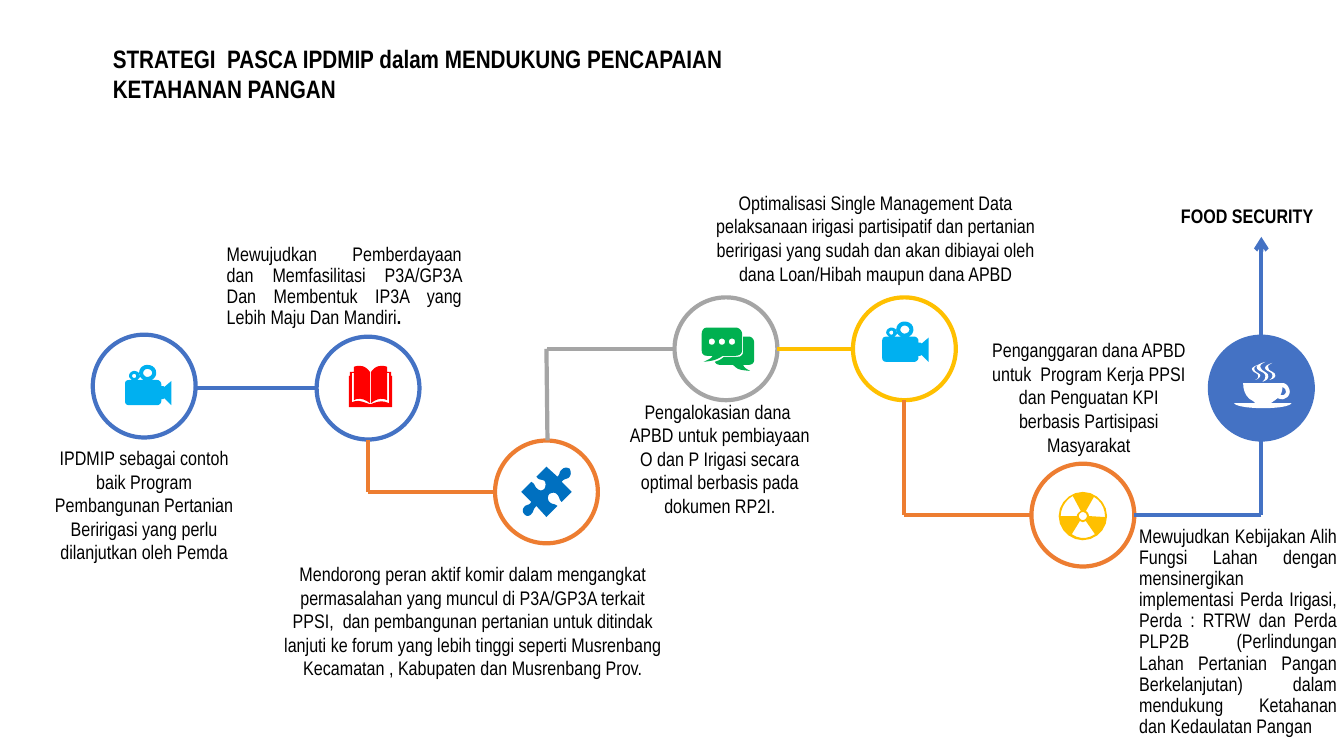
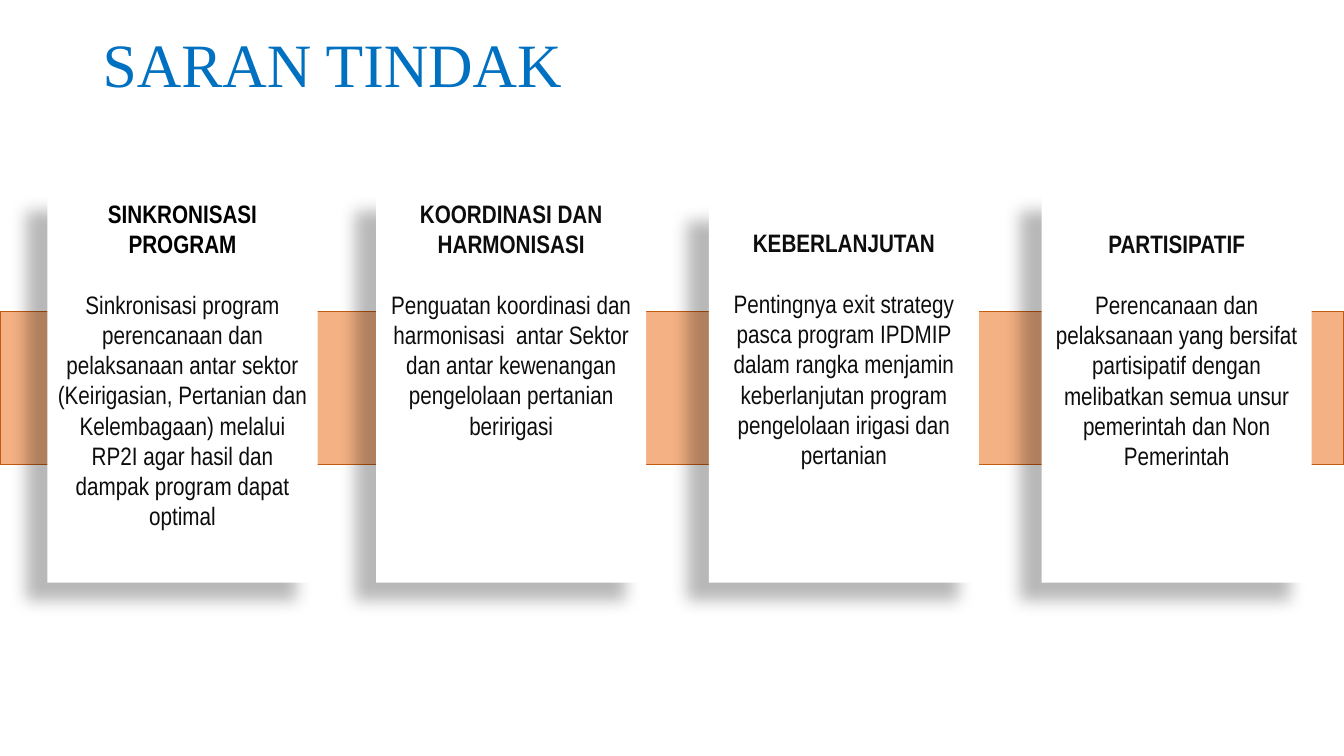
import pptx
import pptx.dml.color
import pptx.enum.shapes
import pptx.enum.text
import pptx.oxml
import pptx.util
from pptx.util import Inches

COLORS = {
    "black": "000000", "ink": "0D0D0D", "white": "FFFFFF", "blue": "4472C4",
    "orange": "ED7D31", "gray": "A5A5A5", "gold": "FFC000", "deep_blue": "0070C0",
    "sky": "00B0F0", "red": "FF0000", "green": "00B050",
    "band": "F4B183", "band_line": "C55A11",
}
RGB = {name: pptx.dml.color.RGBColor.from_string(code) for name, code in COLORS.items()}
NS = 'xmlns:a="http://schemas.openxmlformats.org/drawingml/2006/main"'
SHAPE = pptx.enum.shapes.MSO_SHAPE
ANCHOR = pptx.enum.text.MSO_ANCHOR
ALIGN = pptx.enum.text.PP_ALIGN
LEFT, CENTER, JUSTIFY = ALIGN.LEFT, ALIGN.CENTER, ALIGN.JUSTIFY


def write(shape, paragraphs, size, align=CENTER, anchor=ANCHOR.MIDDLE,
          font="Arial Narrow", spacing=None, gap=0):
    tf = shape.text_frame
    tf.word_wrap = True
    tf.vertical_anchor = anchor
    for i, runs in enumerate(paragraphs):
        p = tf.paragraphs[0] if i == 0 else tf.add_paragraph()
        p.alignment = align
        if spacing:
            p.line_spacing = spacing
        if i < len(paragraphs) - 1:
            p.space_after = pptx.util.Pt(gap)
        for text, bold, color in runs:
            r = p.add_run()
            r.text = text
            r.font.name = font
            r.font.size = pptx.util.Pt(size)
            r.font.bold = bold
            r.font.color.rgb = RGB[color]


def draw_icon(s, outline, x, y, color):
    builder = None
    for contour in outline:
        segments = [[Inches(float(n) / 100) for n in seg.split(",")] for seg in contour.split()]
        cx, cy = segments[0]
        if builder is None:
            builder = s.shapes.build_freeform(cx, cy)
        else:
            builder.move_to(cx, cy)
        points = []
        for seg in segments[1:]:
            if len(seg) == 6:
                x1, y1, x2, y2, x3, y3 = seg
                for t in (0.2, 0.4, 0.6, 0.8):
                    u = 1 - t
                    points.append((
                        u**3 * cx + 3 * u * u * t * x1 + 3 * u * t * t * x2 + t**3 * x3,
                        u**3 * cy + 3 * u * u * t * y1 + 3 * u * t * t * y2 + t**3 * y3))
            cx, cy = seg[-2:]
            points.append((cx, cy))
        builder.add_line_segments(points, close=True)
    sp = builder.convert_to_shape(Inches(x), Inches(y))
    sp.shadow.inherit = False
    sp.fill.solid()
    sp.fill.fore_color.rgb = RGB[color]
    sp.line.fill.background()


CAMERA = [
    "9,9 8,9,7,10,7,11 7,12,8,13,9,13 11,13,11,12,11,11 11,10,11,9,9,9",
    "22,4 20,4,18,6,18,8 18,10,20,12,22,12 25,12,27,10,27,8 27,6,25,4,22,4",
    "22,0 27,0,31,3,31,8 31,11,29,14,26,15 32,15 34,15,36,17,36,19 36,21 38,21 39,22 "
    "46,16 46,40 39,33 38,34 36,34 36,36 36,38,34,40,32,40 4,40 1,40,0,38,0,36 0,19 "
    "0,17,1,15,4,15 7,15 6,14,4,13,4,11 4,8,7,6,9,6 12,6,15,8,15,11 15,13,13,14,12,15 "
    "19,15 16,14,14,11,14,8 14,3,18,0,22,0",
]
BOOK = [
    "21,38 22,38 29,35,33,34,40,37 40,7 38,7 38,34 33,31,27,33,22,37 22,6 25,2,28,0,32,0 "
    "34,0,36,0,38,1 38,6 42,6 42,10 43,10 43,41 0,41 0,10 1,10 1,6 5,6 5,1 7,0,9,0,11,0 "
    "15,0,18,2,21,6 21,37 16,33,10,31,5,34 5,7 3,7 3,36 10,33,14,36,21,38",
]
PUZZLE = [
    "48,2 49,4,50,7,48,10 46,13,43,11,40,15 50,25 40,35 37,32,38,29,35,27 "
    "33,25,30,26,28,27 26,29,26,33,28,35 31,38,32,36,36,39 25,50 15,39 11,43,13,44,10,47 "
    "8,50,4,49,3,47 1,45,1,42,3,40 5,37,8,39,10,35 0,25 10,15 14,17,13,20,16,22 "
    "18,24,21,24,23,22 24,20,25,17,23,14 19,12,18,14,15,10 25,0 36,10 39,7,37,6,40,3 "
    "43,0,46,1,48,2",
]
CHAT = [
    f"{x},11 {x-2},11,{x-3},12,{x-3},14 {x-3},16,{x-2},17,{x},17 "
    f"{x+2},17,{x+3},16,{x+3},14 {x+3},12,{x+2},11,{x},11" for x in (10, 20, 30)
] + [
    "41,9 47,9 50,9,52,12,52,15 52,32 52,35,50,37,47,37 41,37 42,39,42,40,48,43 "
    "37,42,36,42,31,37 18,37 16,37,14,36,13,34 16,33,19,32,22,29 36,29 39,29,41,27,41,24",
    "5,0 34,0 37,0,40,3,40,6 40,23 40,26,37,28,34,28 21,28 15,32,12,33,2,34 "
    "8,31,9,31,11,28 5,28 2,28,0,26,0,23 0,6 0,3,2,0,5,0",
]
RADIATION = [
    "21,29 13,42 20,47,29,47,36,42 27,29 26,29,25,30,24,30 23,30,22,29,21,29",
    "24,20 22,20,20,22,20,24 20,26,22,28,24,28 26,28,28,26,28,24 28,22,26,20,24,20",
    "35,5 27,19 29,20,30,22,30,24 46,25 46,16,42,9,35,5",
    "14,4 7,8,2,16,2,24 18,24 18,22,20,20,22,19",
    "24,0 37,0,48,11,48,24 48,37,37,48,24,48 11,48,0,37,0,24 0,11,11,0,24,0",
]
CUP = [
    "48,25 48,28,47,31,46,33 47,33,48,33,49,33 51,32,52,30,51,28 51,27,50,26,48,25",
    "49,21 52,22,54,24,55,28 56,31,54,35,51,36 48,38,46,37,43,36 42,37,41,38,39,39 "
    "38,40,37,41,35,41 57,41 56,44,44,46,29,46 14,46,1,44,0,41 22,41 21,41,20,40,19,39 "
    "12,36,9,29,9,21",
    "23,3 21,5,20,5,20,7 20,11,27,11,26,14 25,16,24,17,21,18 23,17,24,16,24,14 "
    "24,11,19,11,18,8 17,6,19,5,23,3",
    "38,1 35,3,33,3,34,6 34,10,41,9,41,14 40,16,39,17,35,18 38,16,38,15,38,13 "
    "38,10,33,10,31,7 30,5,32,3,38,1",
    "31,0 28,2,26,2,26,5 27,10,35,10,34,15 33,18,32,18,28,20 30,18,31,17,31,14 "
    "31,10,25,10,23,7 21,4,24,2,31,0",
]

prs = pptx.Presentation()
prs.slide_width = Inches(13.33)
prs.slide_height = Inches(7.5)
blank = prs.slide_layouts[6]

s = prs.slides.add_slide(blank)

steps = [
    (0.92, 3.32, "blue", CAMERA, 1.24, 3.62, "sky"),
    (3.14, 3.34, "blue", BOOK, 3.46, 3.63, "red"),
    (4.91, 4.37, "orange", PUZZLE, 5.17, 4.63, "deep_blue"),
    (6.69, 2.95, "gray", CHAT, 6.96, 3.25, "green"),
    (8.46, 2.95, "gold", CAMERA, 8.75, 3.19, "sky"),
    (10.23, 4.6, "orange", RADIATION, 10.5, 4.88, "gold"),
    (12, 3.34, "blue", CUP, 12.24, 3.59, "white"),
]
for x, y, color, outline, icon_x, icon_y, icon_color in steps:
    sp = s.shapes.add_shape(SHAPE.OVAL, Inches(x), Inches(y), Inches(1.02), Inches(1.02))
    sp.shadow.inherit = False
    if outline is CUP:
        sp.fill.solid()
        sp.fill.fore_color.rgb = RGB[color]
    else:
        sp.fill.background()
    sp.line.color.rgb = RGB[color]
    sp.line.width = pptx.util.Pt(3)
    draw_icon(s, outline, icon_x, icon_y, icon_color)

links = [
    (1.92, 3.85, 3.14, 3.85, "blue"),
    (3.65, 4.37, 3.65, 4.88, "orange"),
    (4.91, 4.88, 3.65, 4.88, "orange"),
    (5.42, 3.46, 5.43, 4.37, "gray"),
    (6.69, 3.46, 5.43, 3.46, "gray"),
    (8.46, 3.46, 7.71, 3.46, "gold"),
    (8.97, 3.97, 8.97, 5.11, "orange"),
    (10.23, 5.11, 8.97, 5.11, "orange"),
    (12.51, 5.11, 11.25, 5.11, "blue"),
    (12.51, 4.37, 12.51, 5.11, "blue"),
    (12.51, 3.34, 12.51, 2.35, "blue"),
]
for x1, y1, x2, y2, color in links:
    link = s.shapes.add_connector(pptx.enum.shapes.MSO_CONNECTOR.STRAIGHT,
                                  Inches(x1), Inches(y1), Inches(x2), Inches(y2))
    link.line.color.rgb = RGB[color]
    link.line.width = pptx.util.Pt(3)
    link._element.spPr.append(pptx.oxml.parse_xml(f"<a:effectLst {NS}/>"))
link.line._get_or_add_ln().append(pptx.oxml.parse_xml(f'<a:tailEnd {NS} type="arrow"/>'))

captions = [
    (0.35, 4.37, 2.16, 1.28, CENTER,
     ["IPDMIP sebagai contoh baik Program Pembangunan Pertanian Beririgasi yang perlu "
      "dilanjutkan oleh Pemda"]),
    (6.06, 3.91, 2.16, 1.28, CENTER,
     ["Pengalokasian dana  APBD untuk pembiayaan",
      "O dan P Irigasi secara optimal berbasis pada dokumen RP2I."]),
    (2.69, 5.52, 4, 1.28, CENTER,
     ["Mendorong peran aktif komir dalam mengangkat permasalahan yang muncul di P3A/GP3A "
      "terkait PPSI,  dan pembangunan pertanian untuk ditindak lanjuti ke forum yang lebih "
      "tinggi seperti Musrenbang Kecamatan , Kabupaten dan Musrenbang Prov."]),
    (6.99, 1.84, 3.39, 1.04, CENTER,
     ["Optimalisasi Single Management Data pelaksanaan irigasi partisipatif dan pertanian "
      "beririgasi yang sudah dan akan dibiayai oleh dana Loan/Hibah maupun dana APBD"]),
    (11.2, 5.16, 2.16, 2.22, JUSTIFY,
     ["Mewujudkan Kebijakan Alih Fungsi Lahan dengan mensinergikan implementasi Perda "
      "Irigasi, Perda : RTRW dan Perda PLP2B (Perlindungan Lahan Pertanian Pangan "
      "Berkelanjutan) dalam mendukung Ketahanan dan Kedaulatan Pangan"]),
    (9.72, 3.3, 2.16, 1.28, CENTER,
     ["Penganggaran dana APBD untuk  Program Kerja PPSI dan Penguatan KPI berbasis "
      "Partisipasi Masyarakat"]),
]
for x, y, w, h, align, lines in captions:
    box = s.shapes.add_textbox(Inches(x), Inches(y), Inches(w), Inches(h))
    write(box, [[(line, False, "black")] for line in lines], 14, align,
          spacing=0.9 if align == JUSTIFY else None)

box = s.shapes.add_textbox(Inches(2.15), Inches(2.37), Inches(2.53), Inches(0.95))
write(box, [[("Mewujudkan Pemberdayaan dan Memfasilitasi P3A/GP3A Dan Membentuk IP3A yang "
              "Lebih Maju Dan Mandiri", False, "black"), (".", True, "black")]],
      14, JUSTIFY, spacing=0.9)
box = s.shapes.add_textbox(Inches(11.33), Inches(1.97), Inches(2.08), Inches(0.34))
write(box, [[("FOOD SECURITY", True, "black")]], 14)
title = s.shapes.add_textbox(Inches(1.02), Inches(0.38), Inches(7.32), Inches(0.71))
write(title, [[("STRATEGI  PASCA IPDMIP dalam MENDUKUNG PENCAPAIAN KETAHANAN PANGAN",
                True, "black")]], 18, LEFT, ANCHOR.TOP)

s = prs.slides.add_slide(blank)

title = s.shapes.add_textbox(Inches(0.92), Inches(0.25), Inches(11.5), Inches(0.84))
write(title, [[("SARAN TINDAK", False, "deep_blue")]], 44, LEFT,
      font="Times New Roman", spacing=0.9)

band = s.shapes.add_shape(SHAPE.RECTANGLE, 0, Inches(3.09), prs.slide_width, Inches(1.52))
band.shadow.inherit = False
band.fill.solid()
band.fill.fore_color.rgb = RGB["band"]
band.line.color.rgb = RGB["band_line"]
band.line.width = pptx.util.Pt(1)

cards = [
    (0.47, 1.92, 0.05, "black", "SINKRONISASI PROGRAM",
     "Sinkronisasi program perencanaan dan pelaksanaan antar sektor (Keirigasian, Pertanian "
     "dan Kelembagaan) melalui RP2I agar hasil dan dampak program dapat optimal"),
    (3.73, 1.92, 0.05, "ink", "KOORDINASI DAN HARMONISASI",
     "Penguatan koordinasi dan harmonisasi  antar Sektor dan antar kewenangan pengelolaan "
     "pertanian beririgasi"),
    (7.03, 2.02, 0.24, "ink", "KEBERLANJUTAN",
     "Pentingnya exit strategy pasca program IPDMIP dalam rangka menjamin keberlanjutan "
     "program pengelolaan irigasi dan pertanian"),
    (10.33, 1.92, 0.35, "ink", "PARTISIPATIF",
     "Perencanaan dan pelaksanaan yang bersifat partisipatif dengan melibatkan semua unsur "
     "pemerintah dan Non Pemerintah"),
]
for x, y, inset, color, heading, body in cards:
    card = s.shapes.add_shape(SHAPE.RECTANGLE, Inches(x), Inches(y),
                              Inches(2.68), Inches(5.78 - y))
    card.fill.solid()
    card.fill.fore_color.rgb = RGB["white"]
    card.line.fill.background()
    card._element.spPr.append(pptx.oxml.parse_xml(
        f'<a:effectLst {NS}><a:outerShdw blurRad="150000" dist="250000" dir="8460000">'
        f'<a:srgbClr val="{COLORS["black"]}"><a:alpha val="28000"/></a:srgbClr>'
        '</a:outerShdw></a:effectLst>'))
    card.text_frame.margin_top = Inches(inset)
    write(card, [[(heading, True, color)], [(body, False, "ink")]], 18,
          anchor=ANCHOR.TOP, gap=21.5)

prs.save("out.pptx")
